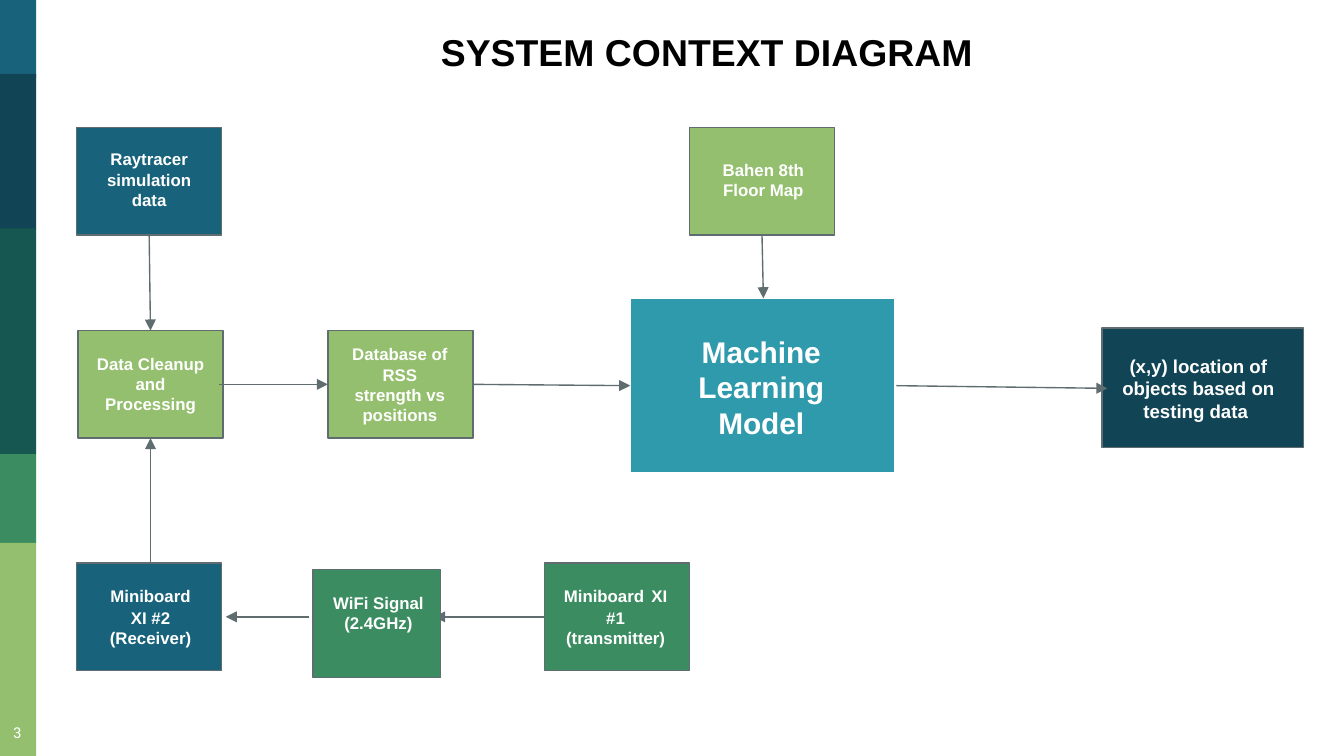
import pptx
import pptx.util
import pptx.dml.color
import pptx.enum.shapes
import pptx.enum.text
import pptx.oxml
import pptx.oxml.ns

Inches = pptx.util.Inches
Pt = pptx.util.Pt
CENTER = pptx.enum.text.PP_ALIGN.CENTER
ANCHOR = pptx.enum.text.MSO_ANCHOR
RECT = pptx.enum.shapes.MSO_SHAPE.RECTANGLE
WIDTH = 10
HEIGHT = WIDTH * 9 / 16
NAVY, BLUE, TEAL = "114454", "18637B", "309AAD"
PINE, GREEN, LIME = "165751", "3B8D61", "94BF6E"
GRAY, WHITE, BLACK = "5F6C70", "FFFFFF", "000000"
WIDE_GAP = "~"  # stands for a larger, regular-weight space


def color(code):
    return pptx.dml.color.RGBColor.from_string(code)


def style(run, size, code, bold=True, face="Arial"):
    run.font.size = Pt(size)
    run.font.bold = bold
    run.font.name = face
    run.font.color.rgb = color(code)


def frame(shape, anchor=ANCHOR.TOP):
    text = shape.text_frame
    text.word_wrap = True
    text.vertical_anchor = anchor
    text.margin_left = text.margin_right = Inches(0.1)
    text.margin_top = text.margin_bottom = Inches(0.1)
    return text


def block(slide, box, fill, line=None):
    shape = slide.shapes.add_shape(RECT, *map(Inches, box))
    shape.shadow.inherit = False
    shape.fill.solid()
    shape.fill.fore_color.rgb = color(fill)
    if line:
        shape.line.color.rgb = color(line)
        shape.line.width = Pt(0.75)
    else:
        shape.line.fill.background()


def label(slide, box, text, size):
    body = frame(slide.shapes.add_textbox(*map(Inches, box)))
    for i, line in enumerate(text.split("\n")):
        para = body.add_paragraph() if i else body.paragraphs[0]
        para.alignment = CENTER
        for part in filter(None, line.partition(WIDE_GAP)):
            run = para.add_run()
            gap = part == WIDE_GAP
            run.text = " " if gap else part
            style(run, 14 if gap else size, WHITE, not gap)


def node(slide, box, fill, text, inset, size=9, line=GRAY):
    """Block with a label; inset is the label's offset and size."""
    block(slide, box, fill, line)
    x, y, w, h = inset
    label(slide, (box[0] + x, box[1] + y, w, h), text, size)


def arrow(slide, *ends):
    kind = pptx.enum.shapes.MSO_CONNECTOR.STRAIGHT
    link = slide.shapes.add_connector(kind, *map(Inches, ends))
    link.line.color.rgb = color(GRAY)
    link.line.width = Pt(0.75)
    qn = pptx.oxml.ns.qn
    props = link._element.spPr
    stroke = props.find(qn("a:ln"))
    stroke.append(stroke.makeelement(qn("a:tailEnd"), {"type": "triangle"}))
    props.append(props.makeelement(qn("a:effectLst"), {}))


def sidebar(slide, box):
    left, top, width, height = box
    # Each band starts at the given drop from the top
    bands = [(0, 0.58, BLUE), (0.55, 1.16, NAVY), (1.7, 1.68, PINE),
             (3.38, 0.66, GREEN), (4.04, height - 4.04, LIME)]
    for drop, tall, fill in bands:
        block(slide, (left, top + drop, width, tall), fill)
    # Page number
    spot = (left - 0.06, top + height - 0.35, 0.38, 0.35)
    text = frame(slide.shapes.add_textbox(*map(Inches, spot)), ANCHOR.MIDDLE)
    text.text = "3"
    text.paragraphs[0].alignment = CENTER
    style(text.paragraphs[0].runs[0], 8, WHITE, False, "Roboto Slab")


def heading(slide, box):
    title = slide.shapes.title
    title.left, title.top, title.width, title.height = map(Inches, box)
    text = frame(title)
    text.text = "SYSTEM CONTEXT DIAGRAM"
    text.paragraphs[0].alignment = CENTER
    style(text.paragraphs[0].runs[0], 20, BLACK)


def diagram(slide, box):
    left, top, width, height = box
    wide, tall = 1.08, 0.8
    mid, low = top + 1.51, top + 3.24
    axis, base = mid + tall / 2, low + tall / 2
    store, send, wifi = left + 1.87, left + 3.48, left + 1.76
    model, plan, goal = left + 4.12, left + 4.56, left + width - 1.5

    # Model and its sources
    node(slide, (model, top + 1.27, 1.97, 1.3), TEAL, "Machine Learning Model",
         (0.14, 0.16, 1.67, 1.01), 16, WHITE)
    node(slide, (left, top, wide, tall), BLUE, "Raytracer simulation data",
         (0.11, 0.06, 0.86, 0.66))
    node(slide, (plan, top, wide, tall), LIME, "Bahen 8th Floor Map",
         (0.12, 0.14, 0.86, 0.5))

    # Processing row
    node(slide, (left + 0.01, mid, wide, tall), LIME,
         "Data Cleanup and Processing", (0.03, 0.07, 1.02, 0.66))
    node(slide, (store, mid, wide, tall), LIME,
         "Database of RSS strength vs positions", (0.06, 0, 0.95, 0.81))
    node(slide, (goal, top + 1.49, 1.5, 0.89), NAVY,
         "(x,y) location of objects based on testing data ",
         (0.04, 0.1, 1.35, 0.71), 10)

    # Signal row
    node(slide, (left, low, wide, tall), BLUE,
         "Miniboard~XI #2 (Receiver)", (0.12, 0, 0.86, 0.74))
    node(slide, (send, low, wide, tall), GREEN,
         "Miniboard~XI #1\n(transmitter)", (0.02, 0, 1.02, 0.74))
    arrow(slide, send, base, wifi + 0.9, base)
    node(slide, (wifi, low + 0.05, 0.95, tall), GREEN, "WiFi Signal (2.4GHz)",
         (0.01, 0.07, 0.95, 0.5))
    arrow(slide, wifi - 0.03, base, left + 1.11, base)

    # Links into the processing row and the model
    arrow(slide, left + 0.54, top + tall, left + 0.55, mid)
    arrow(slide, left + 0.55, low, left + 0.55, mid + tall)
    arrow(slide, plan + 0.54, top + tall, plan + 0.55, top + 1.27)
    arrow(slide, left + 1.06, axis, store, axis)
    arrow(slide, store + wide, axis, model, axis + 0.01)
    arrow(slide, model + 1.98, axis + 0.01, goal + 0.04, axis + 0.03)


def main():
    deck = pptx.Presentation()
    deck.slide_width, deck.slide_height = Inches(WIDTH), Inches(HEIGHT)
    slide = deck.slides.add_slide(deck.slide_layouts[5])
    sidebar(slide, (0, 0, 0.27, HEIGHT))
    heading(slide, (1.33, 0.12, 7.86, 0.54))
    diagram(slide, (0.57, 0.95, 9.13, 4.09))
    deck.save("out.pptx")


if __name__ == "__main__":
    main()
